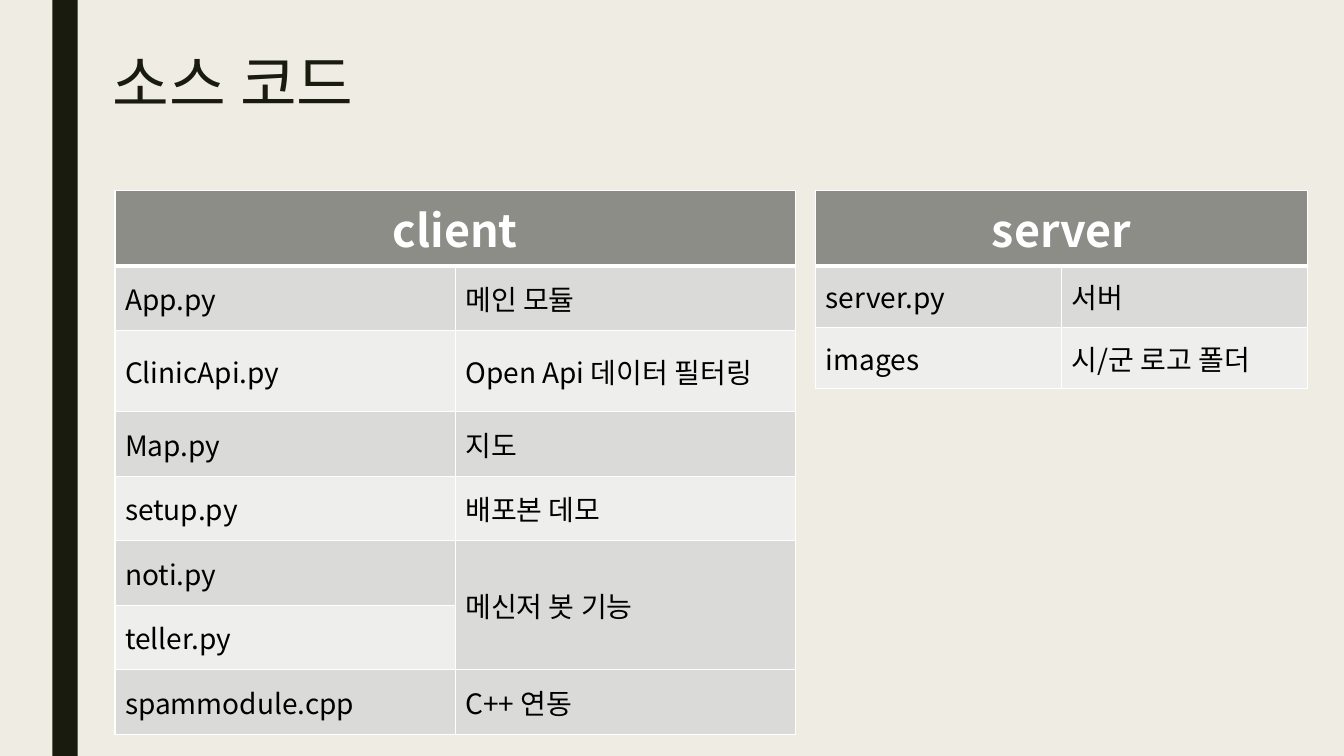
from lxml import etree
from pptx import Presentation
from pptx.dml.color import RGBColor
from pptx.enum.shapes import MSO_SHAPE
from pptx.enum.text import MSO_ANCHOR, MSO_AUTO_SIZE, PP_ALIGN
from pptx.oxml.ns import qn
from pptx.util import Inches, Pt

RECTANGLE = MSO_SHAPE.RECTANGLE
MIDDLE = MSO_ANCHOR.MIDDLE
NO_FIT = MSO_AUTO_SIZE.NONE
LEFT, CENTER = PP_ALIGN.LEFT, PP_ALIGN.CENTER

FONT = "Noto Sans CJK KR"
PAPER, INK, WHITE, BLACK = "EFEDE3", "191B0E", "FFFFFF", "000000"
HEADER, BANDS = "8C8D86", ("EEEEED", "DADBD9")
TITLE_ONLY = 5
TABLE_TOP, HEADER_HEIGHT = 1.89, 0.74

CLIENT_FILES = [
    ("App.py", "메인 모듈"),
    ("ClinicApi.py", "Open Api 데이터 필터링"),
    ("Map.py", "지도"),
    ("setup.py", "배포본 데모"),
    ("noti.py", "메신저 봇 기능"),
    ("teller.py", ""),
    ("spammodule.cpp", "C++ 연동"),
]
SERVER_FILES = [("server.py", "서버"), ("images", "시/군 로고 폴더")]


def paint(fill, color):
    fill.solid()
    fill.fore_color.rgb = RGBColor.from_string(color)


def write(frame, text, size, color, bold=False, align=LEFT):
    frame.text = text
    para = frame.paragraphs[0]
    para.alignment = align
    para.font.size = Pt(size)
    para.font.bold = bold
    para.font.color.rgb = RGBColor.from_string(color)
    para.font.name = FONT
    # East Asian typeface, so that Hangul uses the same font
    latin = para._p.find(".//" + qn("a:latin"))
    east_asian = etree.Element(qn("a:ea"), typeface=FONT)
    latin.addnext(east_asian)
    return para


def add_borders(cell, bottom_width):
    """Draw white lines round a cell; they come before its fill."""
    properties = cell._tc.get_or_add_tcPr()
    widths = {"lnL": 1, "lnR": 1, "lnT": 1, "lnB": bottom_width}
    for index, (side, width) in enumerate(widths.items()):
        line = etree.Element(qn("a:" + side), w=str(Pt(width)))
        fill = etree.SubElement(line, qn("a:solidFill"))
        etree.SubElement(fill, qn("a:srgbClr"), val=WHITE)
        properties.insert(index, line)


def fill_cell(cell, text, fill, size, color, bold=False, align=LEFT, bottom_width=1):
    cell.vertical_anchor = MIDDLE
    paint(cell.fill, fill)
    add_borders(cell, bottom_width)
    write(cell.text_frame, text, size, color, bold, align)


def add_file_table(page, heading, files, left, width, row_height):
    """Add a heading over two equal columns of file names and purposes."""
    height = HEADER_HEIGHT + row_height * len(files)
    table = page.shapes.add_table(
        len(files) + 1, 2, Inches(left), Inches(TABLE_TOP), Inches(width), Inches(height)
    ).table
    for column in table.columns:
        column.width = Inches(width / 2)
    for row in table.rows:
        row.height = Inches(row_height)
    table.rows[0].height = Inches(HEADER_HEIGHT)

    for column, text in enumerate((heading, "")):
        fill_cell(table.cell(0, column), text, HEADER, 32, WHITE, True, CENTER, 3)
    table.cell(0, 0).merge(table.cell(0, 1))
    for row, texts in enumerate(files, start=1):
        for column, text in enumerate(texts):
            fill_cell(table.cell(row, column), text, BANDS[row % 2], 20, BLACK)
    return table


def add_side_band(page, height):
    band = page.shapes.add_shape(RECTANGLE, Inches(0.52), 0, Inches(0.25), height)
    band.shadow.inherit = False
    paint(band.fill, INK)
    band.line.fill.background()


def place_title(page, text):
    title = page.shapes.title
    title.left, title.top = Inches(1.02), Inches(0.02)
    title.width, title.height = Inches(7.98), Inches(1.22)
    frame = title.text_frame
    frame.word_wrap = True
    frame.auto_size = NO_FIT
    frame.vertical_anchor = MIDDLE
    write(frame, text, 44, INK).line_spacing = 1.5


def main():
    deck = Presentation()
    deck.slide_width, deck.slide_height = Inches(13.33), Inches(7.5)
    page = deck.slides.add_slide(deck.slide_layouts[TITLE_ONLY])
    paint(page.background.fill, PAPER)

    add_side_band(page, deck.slide_height)
    place_title(page, "소스 코드")

    client = add_file_table(page, "client", CLIENT_FILES, 1.14, 6.75, 0.64)
    client.rows[2].height = Inches(0.81)
    client.cell(5, 1).merge(client.cell(6, 1))
    add_file_table(page, "server", SERVER_FILES, 8.09, 4.88, 0.61)

    deck.save("out.pptx")


if __name__ == "__main__":
    main()
